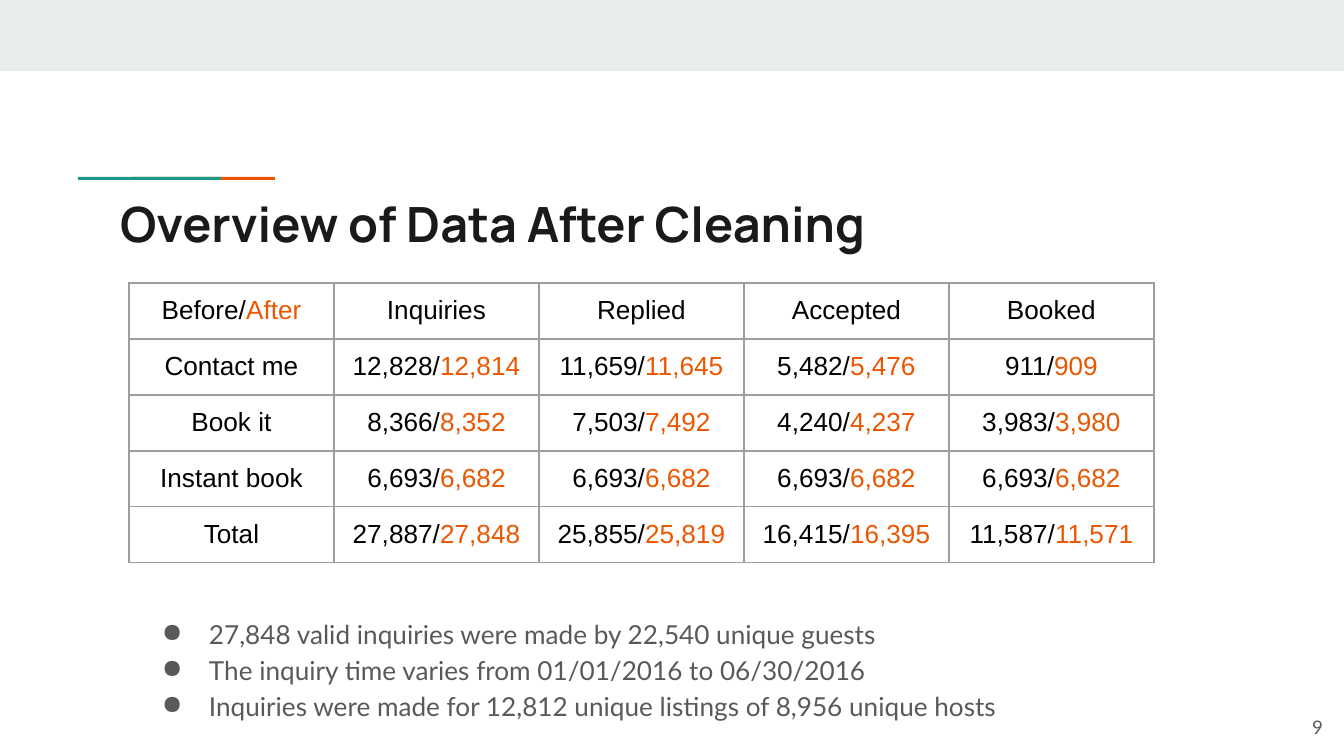
import dataclasses

import lxml.etree
import pptx
import pptx.dml.color
import pptx.enum.shapes
import pptx.enum.text
import pptx.oxml.ns
import pptx.util

EMU_PER_PX = 914400 / 134.4


@dataclasses.dataclass(frozen=True)
class Theme:
    band: str = "E9EDEE"
    teal: str = "1A9988"
    orange: str = "EB5600"
    title: str = "1A1A1A"
    body: str = "595959"
    cell: str = "000000"
    border: str = "9E9E9E"
    title_size: int = 26
    text_size: int = 14
    number_size: int = 10


theme = Theme()


def px(*lengths):
    """Turn pixel lengths into a list of EMU."""
    return [pptx.util.Emu(round(length * EMU_PER_PX)) for length in lengths]


def format_run(run, font_name, size, color, bold=False):
    run.font.name = font_name
    run.font.size = pptx.util.Pt(size)
    run.font.bold = bold
    run.font.color.rgb = pptx.dml.color.RGBColor.from_string(color)


presentation = pptx.Presentation()
presentation.slide_width, presentation.slide_height = px(1344, 756)
slide = presentation.slides.add_slide(presentation.slide_layouts[5])
inset = px(13)[0]

# Top band and two-colour accent line; the teal bar overlaps the orange one
for left, top, width, height, color in [
    (0, 0, 1344, 71, theme.band),
    (133, 177, 142, 3, theme.orange),
    (78, 177, 143, 3, theme.teal),
]:
    bar = slide.shapes.add_shape(
        pptx.enum.shapes.MSO_SHAPE.RECTANGLE, *px(left, top, width, height)
    )
    bar.shadow.inherit = False
    bar.fill.solid()
    bar.fill.fore_color.rgb = pptx.dml.color.RGBColor.from_string(color)
    bar.line.fill.background()

# Title, bullet list and page number
title = slide.shapes.title
title.left, title.top, title.width, title.height = px(107, 181, 1130, 79)
title.text_frame.text = "Overview of Data After Cleaning"

findings = slide.shapes.add_textbox(*px(129, 601, 1130, 79))
findings.text_frame.text = "\n".join([
    "27,848 valid inquiries were made by 22,540 unique guests",
    "The inquiry time varies from 01/01/2016 to 06/30/2016",
    "Inquiries were made for 12,812 unique listings of 8,956 unique hosts",
])

page_number = slide.shapes.add_textbox(*px(1255, 698, 81, 58))
page_number.text_frame.text = "9"

top_anchor = pptx.enum.text.MSO_ANCHOR.TOP
middle_anchor = pptx.enum.text.MSO_ANCHOR.MIDDLE
left_aligned = pptx.enum.text.PP_ALIGN.LEFT
right_aligned = pptx.enum.text.PP_ALIGN.RIGHT
for shape, anchor, alignment, font_name, size, color, bold in [
    (title, top_anchor, left_aligned, "Manrope", theme.title_size, theme.title, True),
    (findings, top_anchor, left_aligned, "Lato", theme.text_size, theme.body, False),
    (page_number, middle_anchor, right_aligned, "Lato", theme.number_size, theme.body, False),
]:
    frame = shape.text_frame
    frame.word_wrap = True
    frame.auto_size = pptx.enum.text.MSO_AUTO_SIZE.NONE
    frame.vertical_anchor = anchor
    frame.margin_left = frame.margin_right = inset
    frame.margin_top = frame.margin_bottom = inset
    for paragraph in frame.paragraphs:
        paragraph.alignment = alignment
        format_run(paragraph.runs[0], font_name, size, color, bold)

bullet_margin, bullet_indent = px(67, -47)
for paragraph in findings.text_frame.paragraphs:
    paragraph.line_spacing = 1.15
    properties = paragraph._p.get_or_add_pPr()
    properties.set("marL", str(bullet_margin))
    properties.set("indent", str(bullet_indent))
    bullet_color = lxml.etree.SubElement(properties, pptx.oxml.ns.qn("a:buClr"))
    lxml.etree.SubElement(bullet_color, pptx.oxml.ns.qn("a:srgbClr"), val=theme.body)
    lxml.etree.SubElement(properties, pptx.oxml.ns.qn("a:buChar"), char="●")

# Counts before and after cleaning
rows = [
    ["Before/After", "Inquiries", "Replied", "Accepted", "Booked"],
    ["Contact me", "12,828/12,814", "11,659/11,645", "5,482/5,476", "911/909"],
    ["Book it", "8,366/8,352", "7,503/7,492", "4,240/4,237", "3,983/3,980"],
    ["Instant book"] + ["6,693/6,682"] * 4,
    ["Total", "27,887/27,848", "25,855/25,819", "16,415/16,395", "11,587/11,571"],
]
column_width, row_height = px(205, 56)
table = slide.shapes.add_table(
    len(rows), len(rows[0]), *px(129, 283),
    column_width * len(rows[0]), row_height * len(rows)
).table
table.first_row = False
table.horz_banding = False
for column in table.columns:
    column.width = column_width

for row, texts in zip(table.rows, rows):
    row.height = row_height
    for cell, text in zip(row.cells, texts):
        cell.margin_left = cell.margin_right = inset
        cell.margin_top = cell.margin_bottom = inset
        paragraph = cell.text_frame.paragraphs[0]
        paragraph.alignment = pptx.enum.text.PP_ALIGN.CENTER
        before, slash, after = text.partition("/")
        for part, color in [(before + slash, theme.cell), (after, theme.orange)]:
            if part:
                run = paragraph.add_run()
                run.text = part
                format_run(run, "Arial", theme.text_size, color)
        properties = cell._tc.get_or_add_tcPr()
        for side in ["a:lnL", "a:lnR", "a:lnT", "a:lnB"]:
            border = lxml.etree.SubElement(
                properties, pptx.oxml.ns.qn(side), w=str(pptx.util.Pt(0.75))
            )
            fill = lxml.etree.SubElement(border, pptx.oxml.ns.qn("a:solidFill"))
            lxml.etree.SubElement(fill, pptx.oxml.ns.qn("a:srgbClr"), val=theme.border)
        cell.fill.background()

presentation.save("out.pptx")
